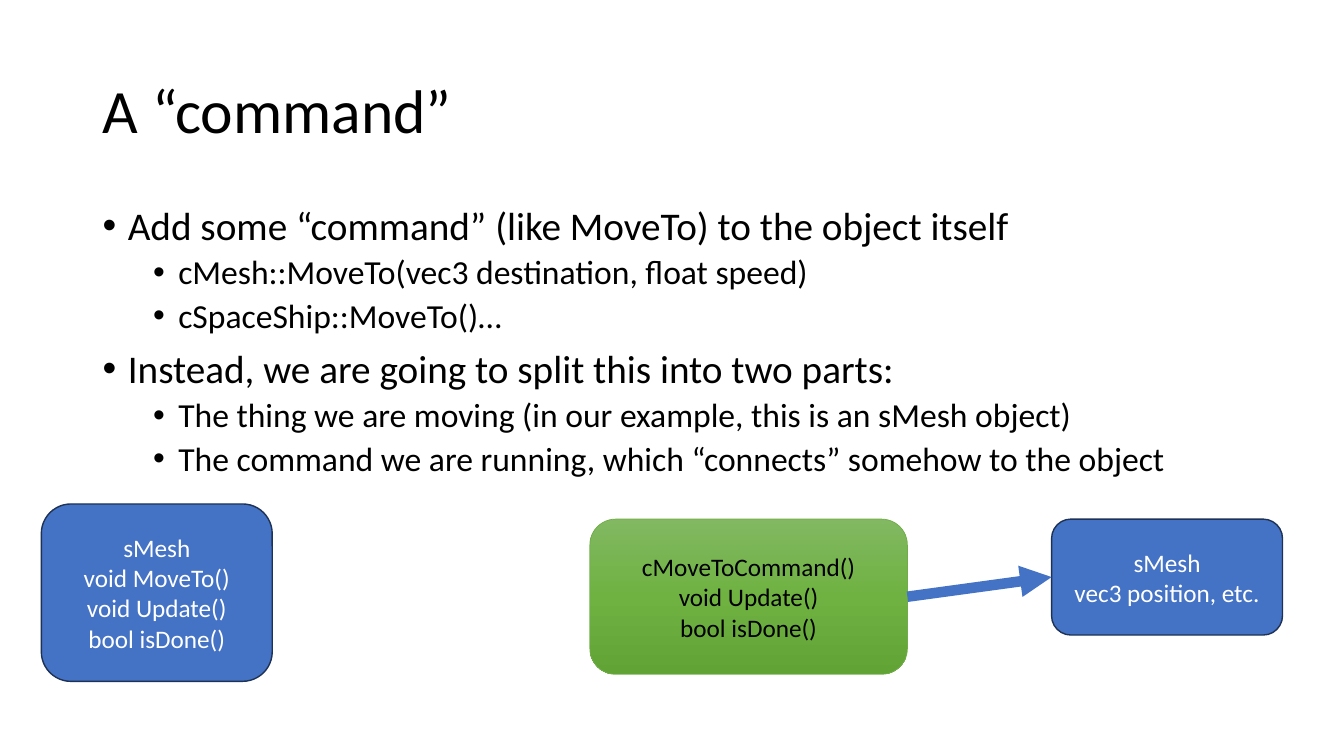
from lxml import etree
from pptx import Presentation
from pptx.dml.color import RGBColor
from pptx.enum.shapes import MSO_CONNECTOR, MSO_SHAPE
from pptx.enum.text import MSO_ANCHOR, PP_ALIGN
from pptx.oxml.ns import qn
from pptx.util import Emu, Pt

PX = 9144  # EMU per px, 100 px to the inch
FONT = "Calibri"
BLACK, WHITE = "000000", "FFFFFF"
BLUE, NAVY, GREEN = "4472C4", "1E3256", "70AD47"
GREEN_STOPS = [(0, "81B861"), (50, "6FB242"), (100, "62A336")]
ROUNDED = MSO_SHAPE.ROUNDED_RECTANGLE
STRAIGHT = MSO_CONNECTOR.STRAIGHT
LEFT, CENTER = PP_ALIGN.LEFT, PP_ALIGN.CENTER
MIDDLE, TOP = MSO_ANCHOR.MIDDLE, MSO_ANCHOR.TOP
LEFT_SIDE, RIGHT_SIDE = 1, 3

# Each level: text size, space before (pt), left indent (px)
LEVELS = [(28, 10, 25), (24, 5, 75)]
HANGING = 25
BULLETS = [
    (0, "Add some “command” (like MoveTo) to the object itself"),
    (1, "cMesh::MoveTo(vec3 destination, float speed)"),
    (1, "cSpaceShip::MoveTo()…"),
    (0, "Instead, we are going to split this into two parts:"),
    (1, "The thing we are moving (in our example, this is an sMesh object)"),
    (1, "The command we are running, which “connects” somehow to the object"),
]


def px(length):
    return Emu(length * PX)


def color(hex_value):
    return RGBColor.from_string(hex_value)


def add_run(paragraph, text, size, hex_value):
    run = paragraph.add_run()
    run.text = text
    run.font.name = FONT
    run.font.size = Pt(size)
    run.font.color.rgb = color(hex_value)


def next_paragraph(frame, index):
    return frame.add_paragraph() if index else frame.paragraphs[0]


def fill_title(slide, box, text):
    title = slide.shapes.title
    title.left, title.top, title.width, title.height = map(px, box)
    title.text_frame.vertical_anchor = MIDDLE
    paragraph = title.text_frame.paragraphs[0]
    paragraph.alignment = LEFT
    paragraph.line_spacing = 0.9
    add_run(paragraph, text, 44, BLACK)


def add_bullets(slide, box, bullets):
    frame = slide.shapes.add_textbox(*map(px, box)).text_frame
    frame.word_wrap = True
    frame.vertical_anchor = TOP
    for index, (level, text) in enumerate(bullets):
        size, space, indent = LEVELS[level]
        paragraph = next_paragraph(frame, index)
        paragraph.level = level
        paragraph.line_spacing = 0.9
        paragraph.space_before = Pt(space)
        add_run(paragraph, text, size, BLACK)
        # Hanging bullet
        properties = paragraph._p.get_or_add_pPr()
        properties.set("marL", str(px(indent)))
        properties.set("indent", str(px(-HANGING)))
        etree.SubElement(properties, qn("a:buFont"), typeface="Arial")
        etree.SubElement(properties, qn("a:buChar"), char="•")


def add_class_box(slide, box, lines, text_color=WHITE, line_color=NAVY, line_width=1):
    shape = slide.shapes.add_shape(ROUNDED, *map(px, box))
    shape.shadow.inherit = False
    shape.fill.solid()
    shape.fill.fore_color.rgb = color(BLUE)
    shape.line.color.rgb = color(line_color)
    shape.line.width = Pt(line_width)
    frame = shape.text_frame
    frame.word_wrap = True
    frame.vertical_anchor = MIDDLE
    for index, text in enumerate(lines):
        paragraph = next_paragraph(frame, index)
        paragraph.alignment = CENTER
        add_run(paragraph, text, 18, text_color)
    return shape


def set_gradient(shape, stops):
    shape.fill.gradient()
    shape.fill.gradient_angle = 270  # counted anticlockwise: top to bottom
    stop_list = shape._element.spPr.find(qn("a:gradFill")).find(qn("a:gsLst"))
    for stop in list(stop_list):
        stop_list.remove(stop)
    for percent, hex_value in stops:
        stop = etree.SubElement(stop_list, qn("a:gs"), pos=str(percent * 1000))
        etree.SubElement(stop, qn("a:srgbClr"), val=hex_value)


def add_arrow(slide, source, target):
    arrow = slide.shapes.add_connector(STRAIGHT, 0, 0, 0, 0)
    arrow.begin_connect(source, RIGHT_SIDE)
    arrow.end_connect(target, LEFT_SIDE)
    arrow.line.color.rgb = color(BLUE)
    arrow.line.width = Pt(7.5)
    etree.SubElement(arrow.line._get_or_add_ln(), qn("a:tailEnd"), type="triangle")
    etree.SubElement(arrow._element.spPr, qn("a:effectLst"))


def add_diagram(slide, box):
    left, top, width, height = box
    mesh_width, inset = 229, 15
    # Everything in one object
    add_class_box(slide, (left, top, mesh_width, height),
                  ["sMesh", "void MoveTo()", "void Update()", "bool isDone()"])
    # Command split from the object it moves
    mesh = add_class_box(slide, (left + width - mesh_width, top + inset, mesh_width, 115),
                         ["sMesh", "vec3 position, etc."])
    command = add_class_box(slide, (left + 544, top + inset, 315, 154),
                            ["cMoveToCommand()", "void Update()", "bool isDone()"],
                            BLACK, GREEN, 0.5)
    set_gradient(command, GREEN_STOPS)
    add_arrow(slide, command, mesh)


def main():
    presentation = Presentation()
    presentation.slide_width, presentation.slide_height = px(1333), px(750)
    slide = presentation.slides.add_slide(presentation.slide_layouts[5])
    fill_title(slide, (92, 40, 1150, 145), "A “command”")
    add_bullets(slide, (92, 200, 1150, 300), BULLETS)
    add_diagram(slide, (41, 500, 1231, 176))
    presentation.save("out.pptx")


if __name__ == "__main__":
    main()
